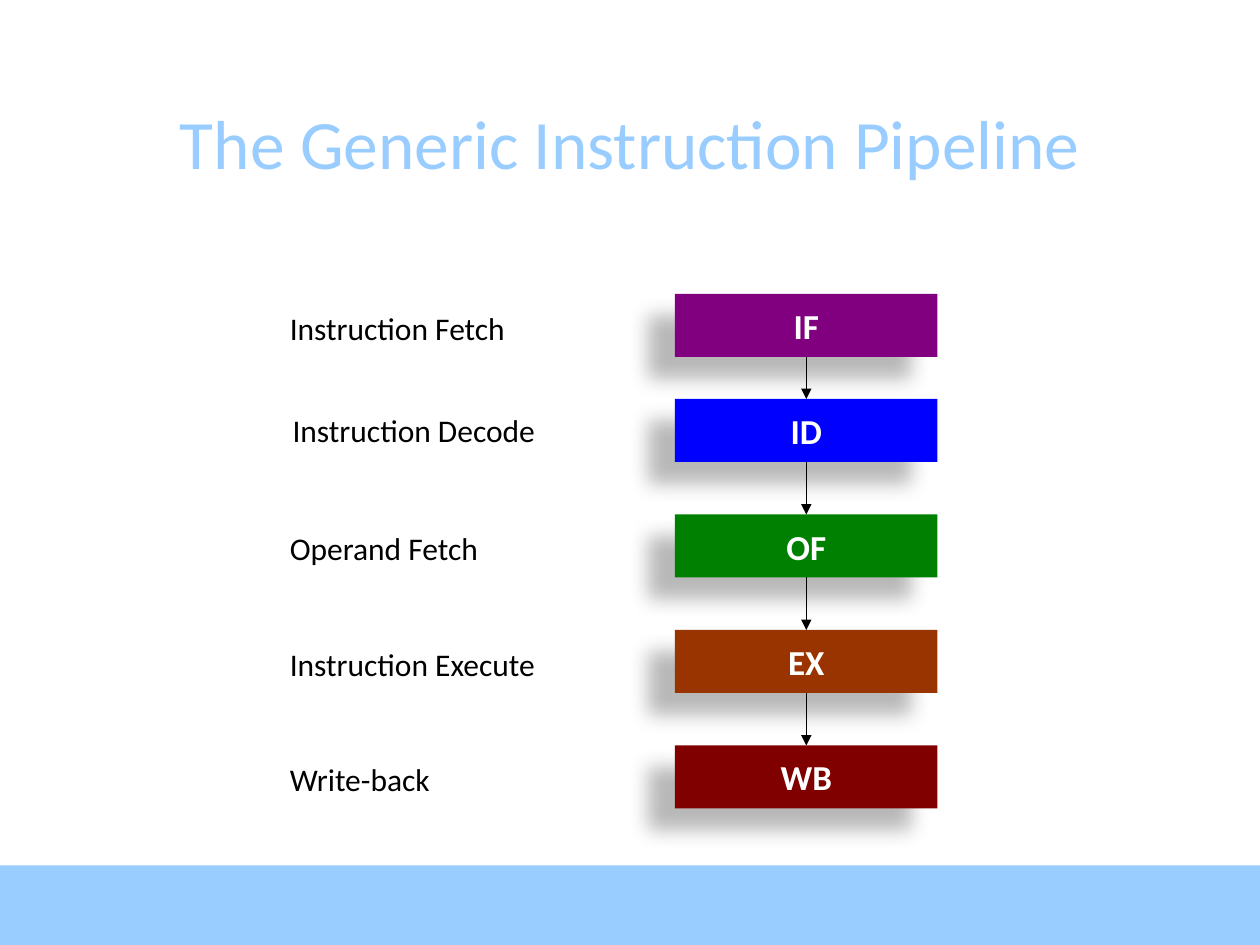
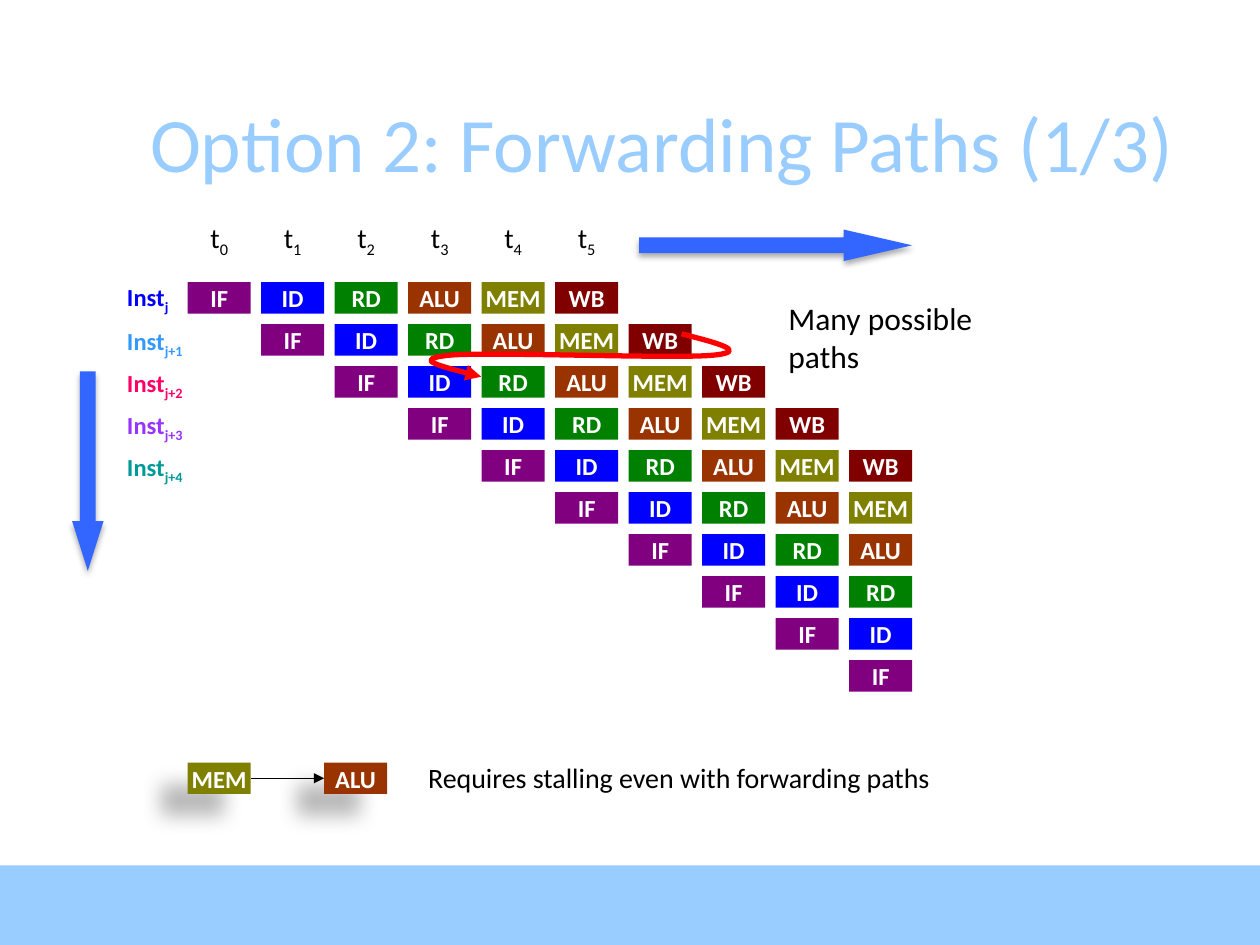
from dataclasses import dataclass
from typing import NamedTuple, Optional

from lxml.etree import SubElement
from pptx import Presentation
from pptx.dml.color import RGBColor
from pptx.enum.shapes import MSO_CONNECTOR as Connector, MSO_SHAPE as Shape
from pptx.enum.text import MSO_ANCHOR as Anchor, PP_ALIGN as Align
from pptx.oxml.ns import qn
from pptx.util import Pt


class Shadow(NamedTuple):
    alpha: int
    blur: float
    dist: float
    angle: int


class Box(NamedTuple):
    x: float
    y: float
    w: float
    h: float


class Stage(NamedTuple):
    name: str
    color: str
    top: float
    label: str
    label_x: float
    label_y: float


class Instruction(NamedTuple):
    subscript: str
    color: str
    top: float


@dataclass(frozen=True)
class Theme:
    font: str = "Calibri"
    sky: str = "99CCFF"
    ink: str = "000000"
    white: str = "FFFFFF"
    arrow: str = "3366FF"
    forward: str = "FF0000"
    purple: str = "800080"
    blue: str = "0000FF"
    green: str = "008000"
    brown: str = "993300"
    olive: str = "808000"
    maroon: str = "800000"
    title: float = 39.6
    big_title: float = 44
    stage: float = 20
    body: float = 18
    note: float = 16
    cell: float = 14
    band_shadow: Shadow = Shadow(35, 3.1, 1.8, 90)
    box_shadow: Shadow = Shadow(28, 11.8, 19.7, 141)
    arrow_shadow: Shadow = Shadow(32, 3.5, 2.2, 90)


T = Theme()

STAGES = [
    Stage("IF", T.purple, 168, "Instruction Fetch", 165.6, 176.4),
    Stage("ID", T.blue, 228, "Instruction Decode", 167.2, 234.7),
    Stage("OF", T.green, 294, "Operand Fetch", 165.6, 302.4),
    Stage("EX", T.brown, 360, "Instruction Execute", 165.6, 368.4),
    Stage("WB", T.maroon, 426, "Write-back", 165.6, 434.4),
]
CELLS = {"IF": T.purple, "ID": T.blue, "RD": T.green,
         "ALU": T.brown, "MEM": T.olive, "WB": T.maroon}
INSTRUCTIONS = [
    Instruction("j", T.blue, 161.3),
    Instruction("j+1", "3399FF", 186.4),
    Instruction("j+2", "FF0066", 210.4),
    Instruction("j+3", "9933FF", 234.4),
    Instruction("j+4", "009999", 258.4),
]
FORWARD_CURVE = [
    (389.5, 190.8), (409, 195.8), (429.1, 200.9), (407.5, 203), (385.2, 205.2),
    (279.4, 200.9), (257, 203), (235.4, 205.2), (254.9, 210.2), (275, 215.3),
]
GRID_X, GRID_Y, STEP_X, STEP_Y = 107.25, 161.25, 42, 24
CELL_W, CELL_H, CYCLES = 36, 18, 10


def rgb(color: str) -> RGBColor:
    """Return the colour for a hex string."""
    return RGBColor.from_string(color)


def set_shadow(sp, shadow: Optional[Shadow]) -> None:
    """Give a shape an outer shadow, or none."""
    sp.shadow.inherit = False
    if shadow:
        effects = sp.element.spPr.find(qn("a:effectLst"))
        outer = SubElement(effects, qn("a:outerShdw"), blurRad=str(Pt(shadow.blur)),
                           dist=str(Pt(shadow.dist)), dir=str(shadow.angle * 60000),
                           algn="ctr", rotWithShape="0")
        color = SubElement(outer, qn("a:srgbClr"), val=T.ink)
        SubElement(color, qn("a:alpha"), val=str(shadow.alpha * 1000))


def write(sp, text: str, size: float, color: str, bold: bool = False,
          align: Align = Align.LEFT, subscript: str = "") -> None:
    """Write one paragraph with an optional subscript."""
    p = sp.text_frame.paragraphs[0]
    p.alignment = align
    p.font.name, p.font.size, p.font.bold = T.font, Pt(size), bold
    p.font.color.rgb = rgb(color)
    p.add_run().text = text
    if subscript:
        r = p.add_run()
        r.text = subscript
        r.font._element.set("baseline", "-25000")


def add_text(slide, box: Box, text: str, size: float, color: str = T.ink,
             margins: tuple[float, float] = (7.2, 3.6), wrap: bool = False,
             anchor: Anchor = Anchor.TOP, **style) -> None:
    """Add a text box."""
    sp = slide.shapes.add_textbox(*map(Pt, box))
    tf = sp.text_frame
    tf.word_wrap, tf.vertical_anchor = wrap, anchor
    tf.margin_left = tf.margin_right = Pt(margins[0])
    tf.margin_top = tf.margin_bottom = Pt(margins[1])
    write(sp, text, size, color, **style)


def add_block(slide, box: Box, color: str, shadow: Optional[Shadow] = None,
              kind: Shape = Shape.RECTANGLE):
    """Add a filled shape without an outline."""
    sp = slide.shapes.add_shape(kind, *map(Pt, box))
    sp.fill.solid()
    sp.fill.fore_color.rgb = rgb(color)
    sp.line.fill.background()
    set_shadow(sp, shadow)
    return sp


def add_stage(slide, box: Box, name: str, color: str, size: float,
              shadow: Optional[Shadow] = None) -> None:
    """Add a named pipeline stage."""
    sp = add_block(slide, box, color, shadow)
    sp.text_frame.word_wrap = False
    sp.text_frame.vertical_anchor = Anchor.MIDDLE
    write(sp, name, size, T.white, bold=True, align=Align.CENTER)


def add_block_arrow(slide, box: Box, kind: Shape, head: float) -> None:
    """Add a block arrow with the given head length ratio."""
    sp = add_block(slide, box, T.arrow, T.arrow_shadow, kind)
    sp.adjustments[0], sp.adjustments[1] = 0.5, head


def style_arrow(sp, color: str, width: float) -> None:
    """Style a line and end it with a triangle."""
    sp.line.color.rgb = rgb(color)
    sp.line.width = Pt(width)
    SubElement(sp.line._get_or_add_ln(), qn("a:tailEnd"), type="triangle")


def add_arrow(slide, x1: float, y1: float, x2: float, y2: float) -> None:
    """Add a thin straight arrow."""
    line = slide.shapes.add_connector(Connector.STRAIGHT, Pt(x1), Pt(y1), Pt(x2), Pt(y2))
    style_arrow(line, T.ink, 0.75)
    SubElement(line.element.spPr, qn("a:effectLst"))


def add_curve(slide, points: list[tuple[float, float]]) -> None:
    """Add an arrow along cubic curves through their control points."""
    start, *rest = [(Pt(x), Pt(y)) for x, y in points]
    builder = slide.shapes.build_freeform(*start)
    builder.add_line_segments(rest, close=False)
    sp = builder.convert_to_shape()
    segments = list(sp.element.iter(qn("a:lnTo")))
    outline = segments[0].getparent()
    for i in range(0, len(segments), 3):
        cubic = SubElement(outline, qn("a:cubicBezTo"))
        for segment in segments[i:i + 3]:
            cubic.append(segment[0])
            outline.remove(segment)
    sp.fill.background()
    set_shadow(sp, None)
    style_arrow(sp, T.forward, 3)


def new_slide(prs, title: str, size: float, width: float):
    """Add a slide with the footer band and title."""
    slide = prs.slides.add_slide(prs.slide_layouts[6])
    add_block(slide, Box(0, 494.5, 720, 45.5), T.sky, T.band_shadow)
    add_text(slide, Box(49.7, 53.3, width, 55.4), title, size, T.sky, wrap=True,
             anchor=Anchor.MIDDLE, align=Align.CENTER)
    return slide


def build_pipeline(prs) -> None:
    """Build the generic pipeline slide."""
    slide = new_slide(prs, "The Generic Instruction Pipeline", T.title, 620.6)
    x, w, h = 385.75, 150, 36
    for stage in STAGES:
        add_text(slide, Box(stage.label_x, stage.label_y, 150, 21.6), stage.label,
                 T.body, margins=(0, 0))
        add_stage(slide, Box(x, stage.top, w, h), stage.name, stage.color,
                  T.stage, T.box_shadow)
    for upper, lower in zip(STAGES, STAGES[1:]):
        add_arrow(slide, x + w / 2, upper.top + h, x + w / 2, lower.top)


def build_forwarding(prs) -> None:
    """Build the forwarding paths slide."""
    slide = new_slide(prs, "Option 2: Forwarding Paths (1/3)", T.big_title, 657.4)
    for row in range(CYCLES):
        for col, (name, color) in enumerate(CELLS.items(), row):
            if col < CYCLES:
                box = Box(GRID_X + col * STEP_X, GRID_Y + row * STEP_Y, CELL_W, CELL_H)
                add_stage(slide, box, name, color, T.cell)
    for col in range(len(CELLS)):
        add_text(slide, Box(GRID_X + col * STEP_X, 122.4, CELL_W, 26.6), "t", T.note,
                 wrap=True, align=Align.CENTER, subscript=str(col))
    for inst in INSTRUCTIONS:
        add_text(slide, Box(65.5, inst.top, 66, 17), "Inst", T.cell, inst.color,
                 margins=(7.2, 0), bold=True, subscript=inst.subscript)
    add_block_arrow(slide, Box(365.2, 131.2, 156, 18), Shape.RIGHT_ARROW, 2.17)
    add_block_arrow(slide, Box(41.2, 212.2, 18, 114), Shape.DOWN_ARROW, 1.58)
    add_curve(slide, FORWARD_CURVE)
    add_text(slide, Box(443.5, 167.2, 144, 50.4), "Many possible paths", T.body, wrap=True)

    y, alu_x = 435.75, 185.25
    for name, x in (("MEM", GRID_X), ("ALU", alu_x)):
        add_stage(slide, Box(x, y, CELL_W, CELL_H), name, CELLS[name], T.cell, T.box_shadow)
    add_arrow(slide, GRID_X + CELL_W, y + CELL_H / 2, alu_x, y + CELL_H / 2)
    add_text(slide, Box(237.6, 431.3, 302.4, 26.6),
             "Requires stalling even with forwarding paths", T.note)


def main() -> None:
    """Build the presentation and save it."""
    prs = Presentation()
    prs.slide_width, prs.slide_height = Pt(720), Pt(540)
    build_pipeline(prs)
    build_forwarding(prs)
    prs.save("out.pptx")


if __name__ == "__main__":
    main()
